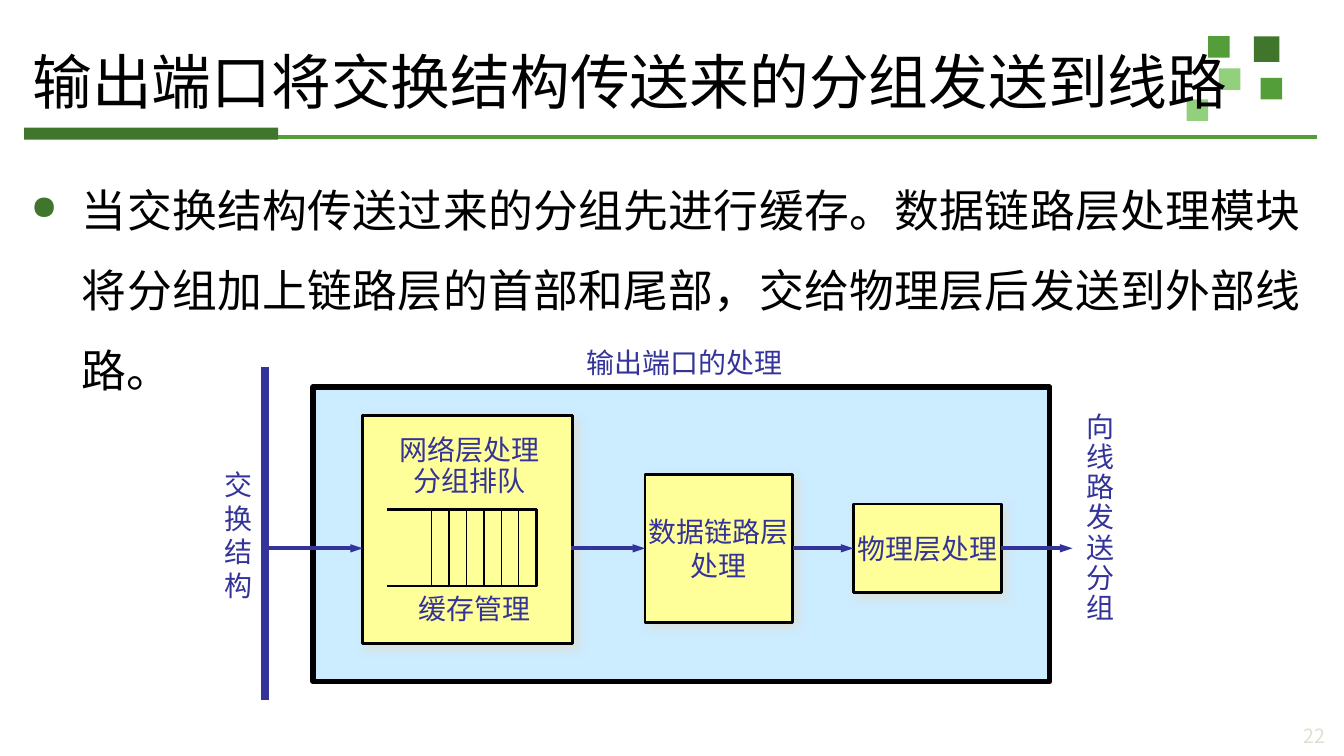
from lxml import etree
from pptx import Presentation
from pptx.dml.color import RGBColor
from pptx.enum import shapes, text
from pptx.oxml import ns
from pptx.util import Inches, Pt

THEME = {
    "dark": "3F762B", "green": "549E39", "light": "93D07D",
    "black": "000000", "ink": "333399", "panel": "CCECFF",
    "box": "FFFF99", "shadow": "E3DED1",
    "font": "Montserrat", "cjk": "Noto Sans CJK SC",
    "title": 32, "body": 24, "label": 15, "number": 10.5,
}
A = ns.nsdecls("a")
MIDDLE_Y = 4.08


def rgb(name):
    return RGBColor.from_string(THEME[name])


def style(tf, lines, size, color, pitch=None, font="cjk", align=text.PP_ALIGN.CENTER):
    """Fill a text frame with one paragraph per line; pitch is the line spacing."""
    tf.text = "\n".join(lines)
    for p in tf.paragraphs:
        p.alignment = align
        p.line_spacing = pitch
        for r in p.runs:
            r.font.size = Pt(THEME[size])
            r.font.color.rgb = rgb(color)
            r.font.name = THEME[font]
            ea = etree.SubElement(r._r.get_or_add_rPr(), ns.qn("a:ea"))
            ea.set("typeface", THEME["cjk"])


prs = Presentation()
prs.slide_width, prs.slide_height = Inches(10), Inches(5.625)
s = prs.slides.add_slide(prs.slide_layouts[5])

# Header decoration, behind the title
for x, y, w, h, color in [
    (9.33, 0.27, 0.19, 0.19, "dark"),
    (8.99, 0.27, 0.16, 0.16, "green"),
    (9.38, 0.58, 0.16, 0.16, "green"),
    (9.07, 0.51, 0.16, 0.16, "light"),
    (8.83, 0.74, 0.16, 0.16, "light"),
    (0.18, 0.95, 1.89, 0.09, "dark"),
]:
    sp = s.shapes.add_shape(shapes.MSO_SHAPE.RECTANGLE, Inches(x), Inches(y), Inches(w), Inches(h))
    sp.shadow.inherit = False
    sp.fill.solid()
    sp.fill.fore_color.rgb = rgb(color)
    sp.line.fill.background()

# Title and body text
title = s.shapes.title
s.shapes._spTree.append(title._element)
title.left, title.top, title.width, title.height = Inches(0.17), Inches(0.32), Inches(9.59), Inches(0.63)
body = s.shapes.add_textbox(Inches(0.16), Inches(1.12), Inches(9.59), Inches(1.4))
for sp in (title, body):
    tf = sp.text_frame
    tf.word_wrap = True
    tf.auto_size = text.MSO_AUTO_SIZE.NONE
    tf.margin_left = tf.margin_right = Inches(0.07)
    tf.margin_top = tf.margin_bottom = Inches(0.04)
title.text_frame.vertical_anchor = text.MSO_ANCHOR.MIDDLE
style(title.text_frame, ["输出端口将交换结构传送来的分组发送到线路"], "title", "black", 0.9,
      "font", text.PP_ALIGN.LEFT)
style(body.text_frame, ["当交换结构传送过来的分组先进行缓存。数据链路层处理模块将分组加上链路层的首部和尾部，交给物理层后发送到外部线路。"],
      "body", "black", Pt(43), "font", text.PP_ALIGN.JUSTIFY)
pPr = body.text_frame.paragraphs[0]._p.get_or_add_pPr()
pPr.set("marL", str(Inches(0.38)))
pPr.set("indent", str(-Inches(0.38)))
for xml in (f'<a:buClr {A}><a:srgbClr val="{THEME["dark"]}"/></a:buClr>',
            f'<a:buSzPct {A} val="75000"/>',
            f'<a:buChar {A} char="●"/>'):
    pPr.append(etree.fromstring(xml))

# Output port panel and processing boxes
boxes = {}
for name, x, y, w, h, fill, width, lines in [
    ("panel", 2.33, 2.88, 5.48, 2.19, "panel", 3, []),
    ("physical", 6.35, 3.75, 1.1, 0.66, "box", 1.5, ["物理层处理"]),
    ("link", 4.8, 3.53, 1.1, 1.1, "box", 1.5, ["数据链路层", "处理"]),
    ("network", 2.7, 3.09, 1.56, 1.7, "box", 1.5, []),
]:
    sp = s.shapes.add_shape(shapes.MSO_SHAPE.RECTANGLE, Inches(x), Inches(y), Inches(w), Inches(h))
    sp.shadow.inherit = False
    sp.fill.solid()
    sp.fill.fore_color.rgb = rgb(fill)
    sp.line.color.rgb = rgb("black")
    sp.line.width = Pt(width)
    if fill == "box":
        effects = sp._element.spPr.find(ns.qn("a:effectLst"))
        effects.append(etree.fromstring(
            f'<a:outerShdw {A} blurRad="{Pt(5)}" dist="{Pt(3)}" dir="2700000" algn="tl">'
            f'<a:srgbClr val="{THEME["shadow"]}"><a:alpha val="75000"/></a:srgbClr></a:outerShdw>'))
    if lines:
        sp.text_frame.word_wrap = False
        sp.text_frame.vertical_anchor = text.MSO_ANCHOR.MIDDLE
        style(sp.text_frame, lines, "label", "ink", Pt(18))
    boxes[name] = sp

# Queue: open on the left, with evenly spaced slots
queue = s.shapes.build_freeform(Inches(2.88), Inches(3.79), scale=1.0)
queue.add_line_segments([(Inches(x), Inches(y)) for x, y in [(3.99, 3.79), (3.99, 4.36), (2.88, 4.36)]],
                        close=False)
sp = queue.convert_to_shape()
sp.shadow.inherit = False
sp.fill.background()
sp.line.color.rgb = rgb("black")
sp.line.width = Pt(1.5)

# Lines: start, end, colour, width, arrow, box joined at start, box joined at end
y = MIDDLE_Y
lines = [
    ((2.07, 1.02), (9.8, 1.02), "green", 2, False, None, None),
    ((1.97, 2.73), (1.97, 5.21), "ink", 4.5, False, None, None),
    ((1.97, y), (2.7, y), "ink", 2.25, True, None, None),
    ((4.25, y), (4.8, y), "ink", 2.25, True, None, "link"),
    ((5.9, y), (6.35, y), "ink", 2.25, True, "link", "physical"),
    ((7.45, y), (7.98, y), "ink", 2.25, True, "physical", None),
]
for i in range(6):
    x = 3.21 + 0.13 * i
    lines.append(((x, 3.79), (x, 4.36), "black", 0.75, False, None, None))
for start, end, color, width, arrow, source, target in lines:
    c = s.shapes.add_connector(shapes.MSO_CONNECTOR.STRAIGHT, *map(Inches, start + end))
    c.line.color.rgb = rgb(color)
    c.line.width = Pt(width)
    if source:
        c.begin_connect(boxes[source], 3)
    if target:
        c.end_connect(boxes[target], 1)
    if arrow:
        tail = etree.SubElement(c.line._get_or_add_ln(), ns.qn("a:tailEnd"))
        tail.set("type", "triangle")
        tail.set("w", "sm")
    etree.SubElement(c._element.spPr, ns.qn("a:effectLst"))

# Free labels and the slide number
for x, y, w, h, lines, pitch, size, color in [
    (2.87, 3.18, 1.25, 0.58, ["网络层处理", "分组排队"], 17, "label", "ink"),
    (4.19, 2.52, 1.8, 0.35, ["输出端口的处理"], 18, "label", "ink"),
    (7.98, 3.02, 0.41, 1.69, list("向线路发送分组"), 16.2, "label", "ink"),
    (3.01, 4.35, 1.04, 0.35, ["缓存管理"], 18, "label", "ink"),
    (1.57, 3.43, 0.41, 1.11, list("交换结构"), 18, "label", "ink"),
    (9.58, 5.33, 0.4, 0.25, ["22"], 13, "number", "shadow"),
]:
    tb = s.shapes.add_textbox(Inches(x), Inches(y), Inches(w), Inches(h))
    tb.text_frame.word_wrap = False
    style(tb.text_frame, lines, size, color, Pt(pitch))

prs.save("out.pptx")
